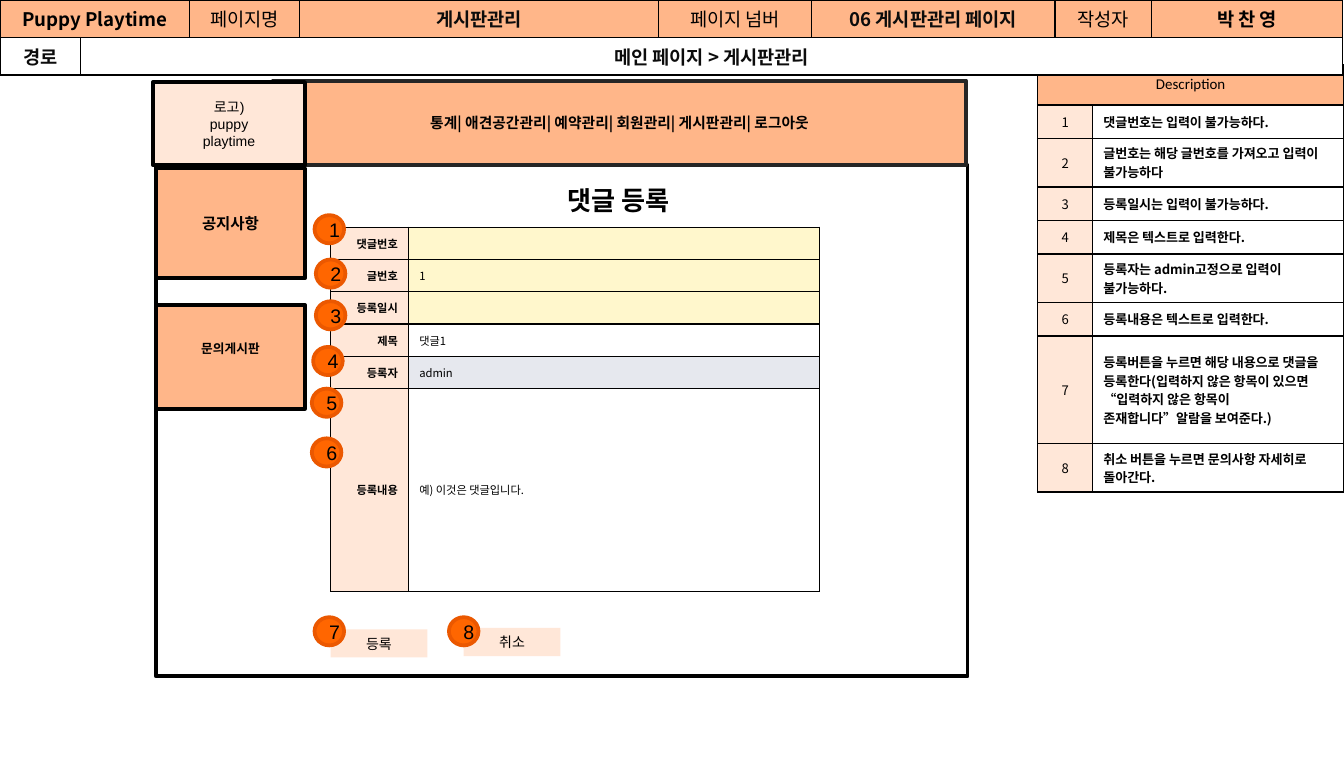
from dataclasses import dataclass
from lxml import etree
from pptx import Presentation
from pptx.dml.color import RGBColor
from pptx.enum.shapes import MSO_SHAPE as Kind
from pptx.enum.text import MSO_ANCHOR as Anchor, MSO_AUTO_SIZE as Auto, PP_ALIGN as Align
from pptx.oxml.ns import qn
from pptx.util import Inches, Pt


@dataclass(frozen=True)
class Theme:
    ink: str = "000000"
    dark: str = "0C0C0C"
    edge: str = "262626"
    white: str = "FFFFFF"
    peach: str = "FFB689"
    pale: str = "FFE7D8"
    cream: str = "FFF7CC"
    gray: str = "E6E8EE"
    badge: str = "FF6600"
    ring: str = "EB5800"
    noto: str = "Noto Sans CJK KR"
    arial: str = "Arial"
    latin: str = "Calibri"
    serif: str = "Times New Roman"
    title: float = 14
    mark: float = 10.5
    head: float = 10
    menu: float = 8.3
    nav: float = 7.9
    desc: float = 8
    label: float = 7.5
    note: float = 7
    side: float = 6.8
    field: float = 6


T = Theme()


def put(frame, text, size=T.head, font=T.noto, color=T.ink, bold=False, align=Align.CENTER):
    for i, line in enumerate(text.split("\n")):
        par = frame.add_paragraph() if i else frame.paragraphs[0]
        par.alignment = align
        if not line:
            etree.SubElement(par._p, qn("a:endParaRPr"), sz=str(int(size * 100)))
            continue
        run = par.add_run()
        run.text = line
        run.font.name = font
        run.font.size = Pt(size)
        run.font.bold = bold
        run.font.color.rgb = RGBColor.from_string(color)
        etree.SubElement(run._r.get_or_add_rPr(), qn("a:ea"), typeface=T.noto)


def grid(left, top, cols, rows, cells, spans, line, pad):
    area = [Inches(n) for n in (left, top, sum(cols), sum(rows))]
    table = slide.shapes.add_table(len(rows), len(cols), *area).table
    table.first_row = table.horz_banding = False
    for col, width in zip(table.columns, cols):
        col.width = Inches(width)
    for row, height in zip(table.rows, rows):
        row.height = Inches(height)
    for r, c, end in spans:
        table.cell(r, c).merge(table.cell(r, end))
    for r, items in enumerate(cells):
        for c, item in enumerate(items):
            cell = table.cell(r, c)
            props = cell._tc.get_or_add_tcPr()
            for side in ("a:lnL", "a:lnR", "a:lnT", "a:lnB"):
                ln = etree.SubElement(props, qn(side), w=str(Pt(line)))
                solid = etree.SubElement(ln, qn("a:solidFill"))
                etree.SubElement(solid, qn("a:srgbClr"), val=T.ink)
            text, fill, anchor, look = item or ("", T.white, Anchor.MIDDLE, {"size": T.field})
            cell.margin_left = cell.margin_right = Inches(pad[0])
            cell.margin_top = cell.margin_bottom = Inches(pad[1])
            cell.vertical_anchor = anchor
            cell.fill.solid()
            cell.fill.fore_color.rgb = RGBColor.from_string(fill)
            put(cell.text_frame, text, **look)


deck = Presentation()
deck.slide_width, deck.slide_height = Inches(10), Inches(5.63)
slide = deck.slides.add_slide(deck.slide_layouts[5])
mid = Anchor.MIDDLE

notes = [
    "댓글번호는 입력이 불가능하다.",
    "글번호는 해당 글번호를 가져오고 입력이 불가능하다",
    "등록일시는 입력이 불가능하다.",
    "제목은 텍스트로 입력한다.",
    "등록자는 admin고정으로 입력이 불가능하다.",
    "등록내용은 텍스트로 입력한다.",
    "등록버튼을 누르면 해당 내용으로 댓글을 등록한다(입력하지 않은 항목이 있으면 "
    "“입력하지 않은 항목이 존재합니다”알람을 보여준다.)",
    "취소 버튼을 누르면 문의사항 자세히로 돌아간다.",
]
cells = [[("Description", T.peach, mid, dict(size=T.desc, font=T.latin)), None]]
for num, note in enumerate(notes, 1):
    cells.append([
        (str(num), T.pale, mid, dict(size=T.note)),
        (note, T.white, mid, dict(size=T.note, bold=True, align=Align.LEFT)),
    ])
high = [0.3, 0.25, 0.36, 0.25, 0.25, 0.36, 0.25, 0.8, 0.36]
grid(7.72, 0.48, [0.41, 1.87], high, cells, [(0, 0, 1)], 1, (0.08, 0.03))

frame = slide.shapes.add_shape(Kind.RECTANGLE, Inches(1.16), Inches(1.23), Inches(6.04), Inches(3.8))
frame.shadow.inherit = False
frame.fill.solid()
frame.fill.fore_color.rgb = RGBColor.from_string(T.white)
frame.line.color.rgb = RGBColor.from_string(T.ink)
frame.line.width = Pt(2)

fields = [
    ("댓글번호", "", T.cream),
    ("글번호", "1", T.cream),
    ("등록일시", "", T.cream),
    ("제목", "댓글1", T.white),
    ("등록자", "admin", T.gray),
    ("등록내용", "예) 이것은 댓글입니다.", T.white),
]
cells = [[
    (name, T.pale, mid, dict(size=T.field, bold=True, align=Align.RIGHT)),
    (value, fill, mid, dict(size=T.field, align=Align.LEFT)),
] for name, value, fill in fields]
grid(2.46, 1.69, [0.58, 3.06], [0.24] * 5 + [1.51], cells, [], 0.75, (0.08, 0.04))

rect = Kind.RECTANGLE
menu = "통계| 애견공간관리| 예약관리| 회원관리| 게시판관리| 로그아웃"
boxes = [
    (rect, (1.16, 2.27, 1.11, 0.77), T.peach, T.ink, 0.17, "문의게시판",
     dict(size=T.side, font=T.arial, bold=True)),
    (rect, (1.16, 1.25, 1.11, 0.82), T.peach, T.ink, 0.04, "공지사항", dict(size=T.menu, bold=True)),
    (rect, (2.03, 0.6, 5.16, 0.63), T.peach, T.edge, 0.04, menu, dict(size=T.nav, bold=True)),
    (rect, (1.14, 0.61, 1.13, 0.62), T.pale, T.ink, 0.04, "로고)\npuppy\nplaytime",
     dict(size=T.label, font=T.arial)),
]
for text, x, y in [("등록", 2.46, 4.68), ("취소", 3.45, 4.67)]:
    boxes.append((rect, (x, y, 0.72, 0.21), T.pale, None, 0.04, text, dict(size=T.label, font=T.serif)))
marks = [(2.34, 1.6), (2.35, 1.93), (2.35, 2.24), (2.33, 2.58),
         (2.32, 2.89), (2.32, 3.26), (2.34, 4.59), (3.34, 4.59)]
for num, (x, y) in enumerate(marks, 1):
    boxes.append((Kind.OVAL, (x, y, 0.22, 0.21), T.badge, T.ring, 0.04, str(num),
                  dict(size=T.mark, font=T.arial)))

for kind, area, fill, line, base, text, look in boxes:
    box = slide.shapes.add_shape(kind, *[Inches(n) for n in area])
    box.shadow.inherit = False
    box.fill.solid()
    box.fill.fore_color.rgb = RGBColor.from_string(fill)
    if line:
        box.line.color.rgb = RGBColor.from_string(line)
        box.line.width = Pt(2)
    else:
        box.line.fill.background()
    body = box.text_frame
    body.word_wrap = True
    body.vertical_anchor = mid
    body.margin_left = body.margin_right = Inches(0.08)
    body.margin_top, body.margin_bottom = Inches(0.04), Inches(base)
    put(body, text, **look)

heads = [
    ("Puppy Playtime", True, T.ink), None, ("페이지명", False, T.ink),
    ("게시판관리", True, T.dark), ("페이지 넘버", False, T.ink),
    ("06 게시판관리 페이지", True, T.dark), ("작성자", False, T.ink), ("박 찬 영", True, T.ink),
]
top = [head and (head[0], T.peach, Anchor.TOP, dict(bold=head[1], color=head[2])) for head in heads]
trail = [(text, T.white, mid, dict(bold=True, color=T.dark)) for text in ("경로", "메인 페이지 > 게시판관리")]
wide = [0.6, 0.81, 0.82, 2.67, 1.14, 1.81, 0.72, 1.42]
grid(0, 0, wide, [0.24, 0.24], [top, trail + [None] * 6], [(0, 0, 1), (1, 1, 7)], 1, (0.09, 0.04))

title = slide.shapes.title
title.left, title.top, title.width, title.height = [Inches(n) for n in (4.12, 1.32, 1.03, 0.34)]
body = title.text_frame
body.word_wrap = False
body.auto_size = Auto.SHAPE_TO_FIT_TEXT
body.vertical_anchor = Anchor.TOP
put(body, "댓글 등록", size=T.title, font=T.latin, bold=True, align=Align.LEFT)
slide.shapes._spTree.append(title._element)

deck.save("out.pptx")
